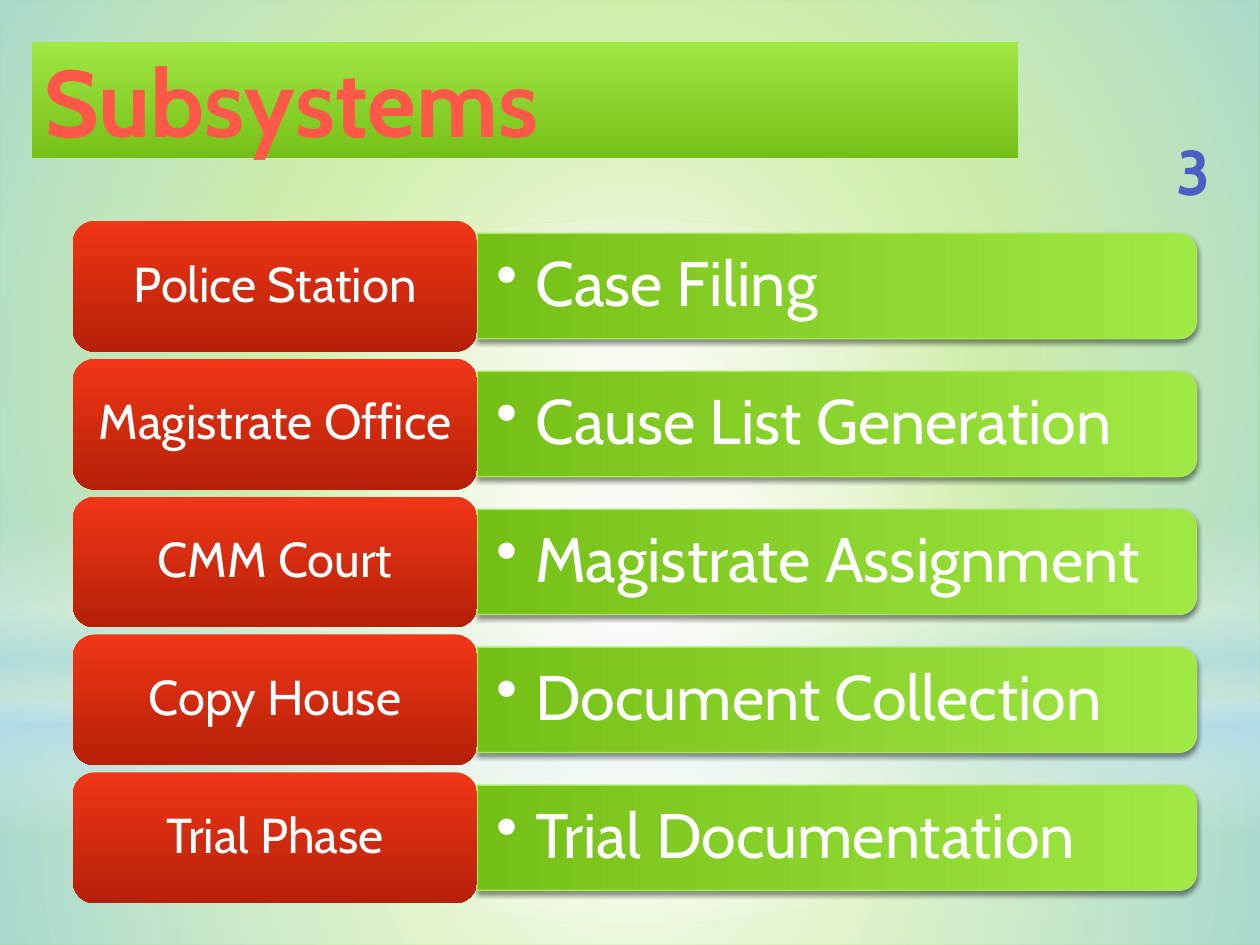
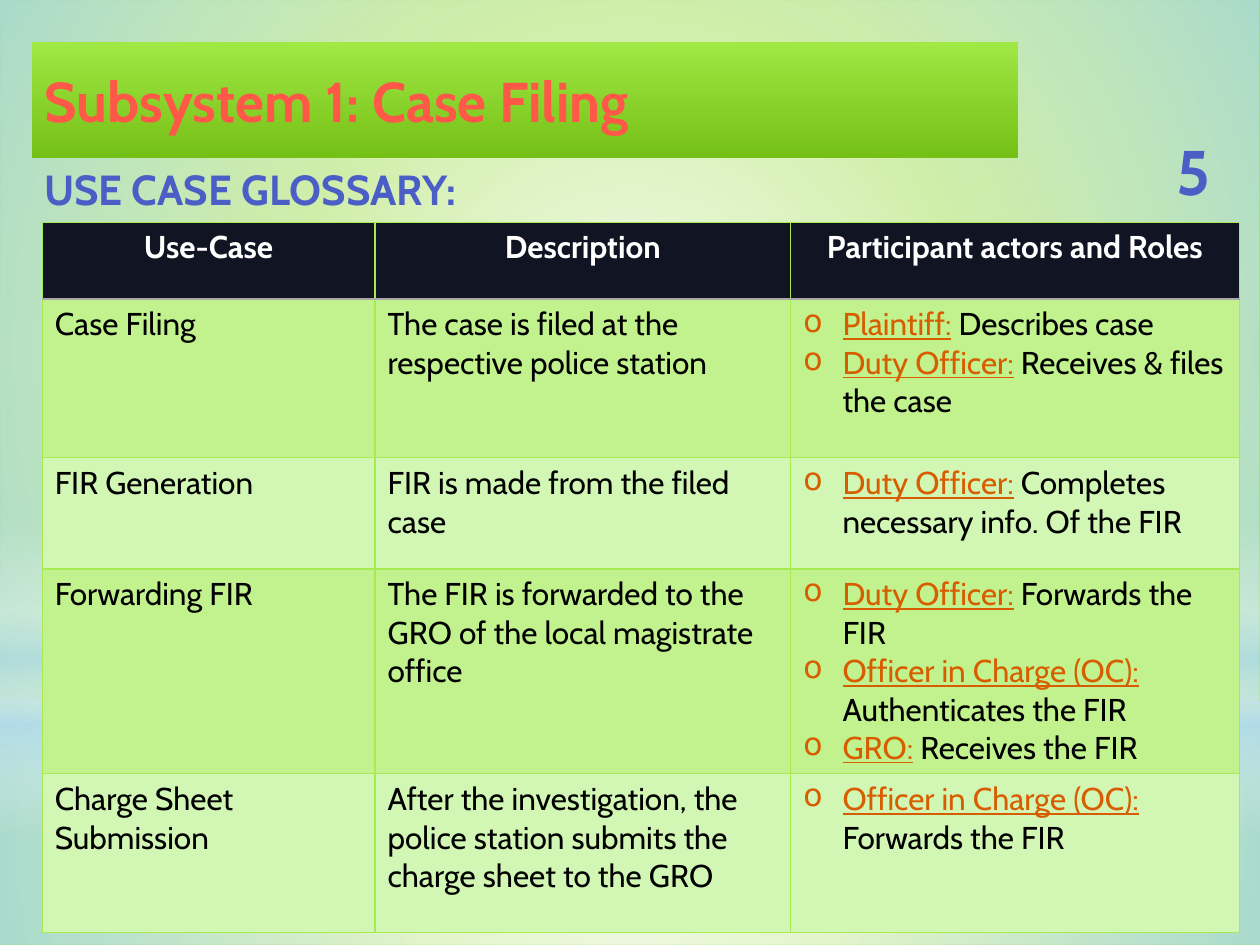
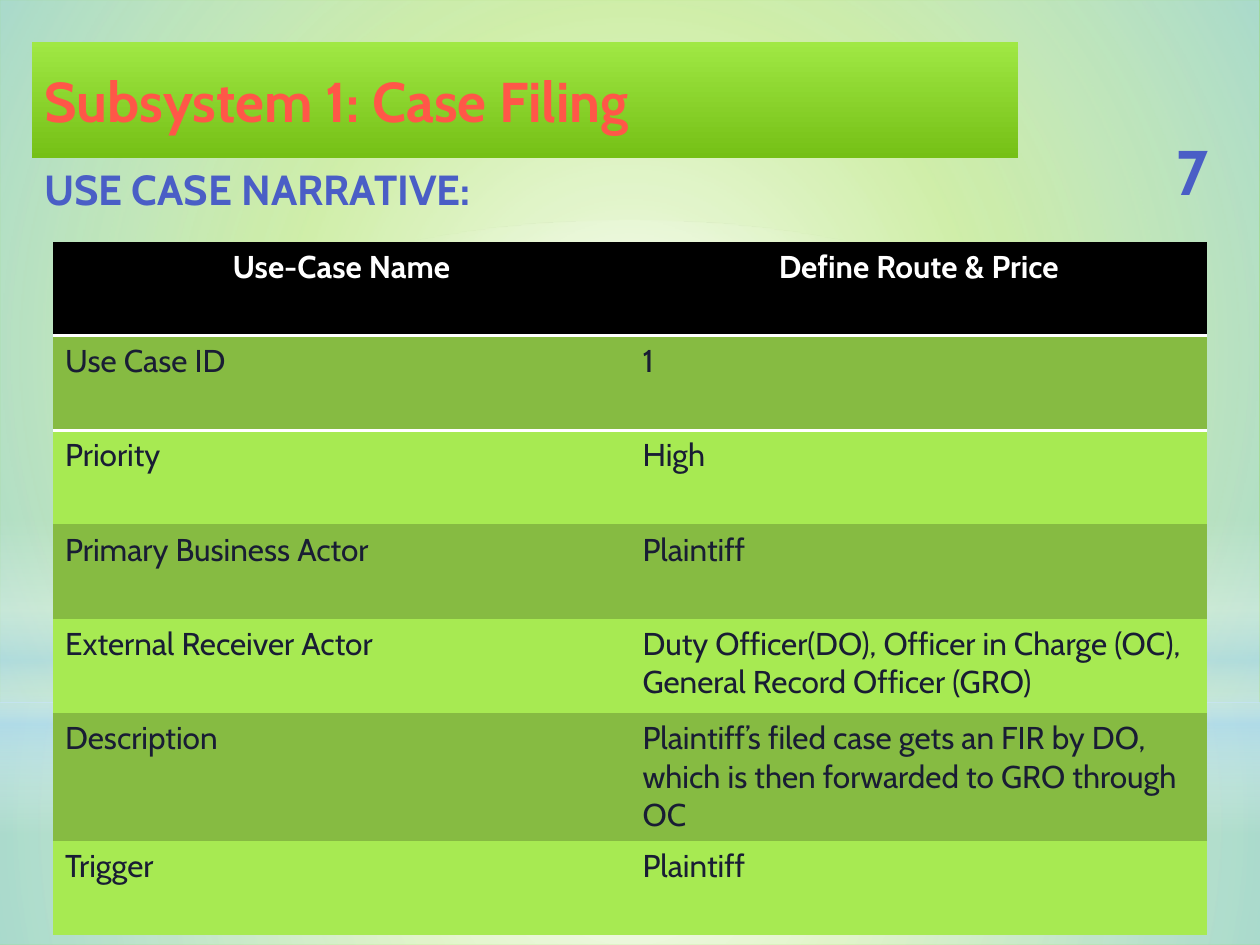
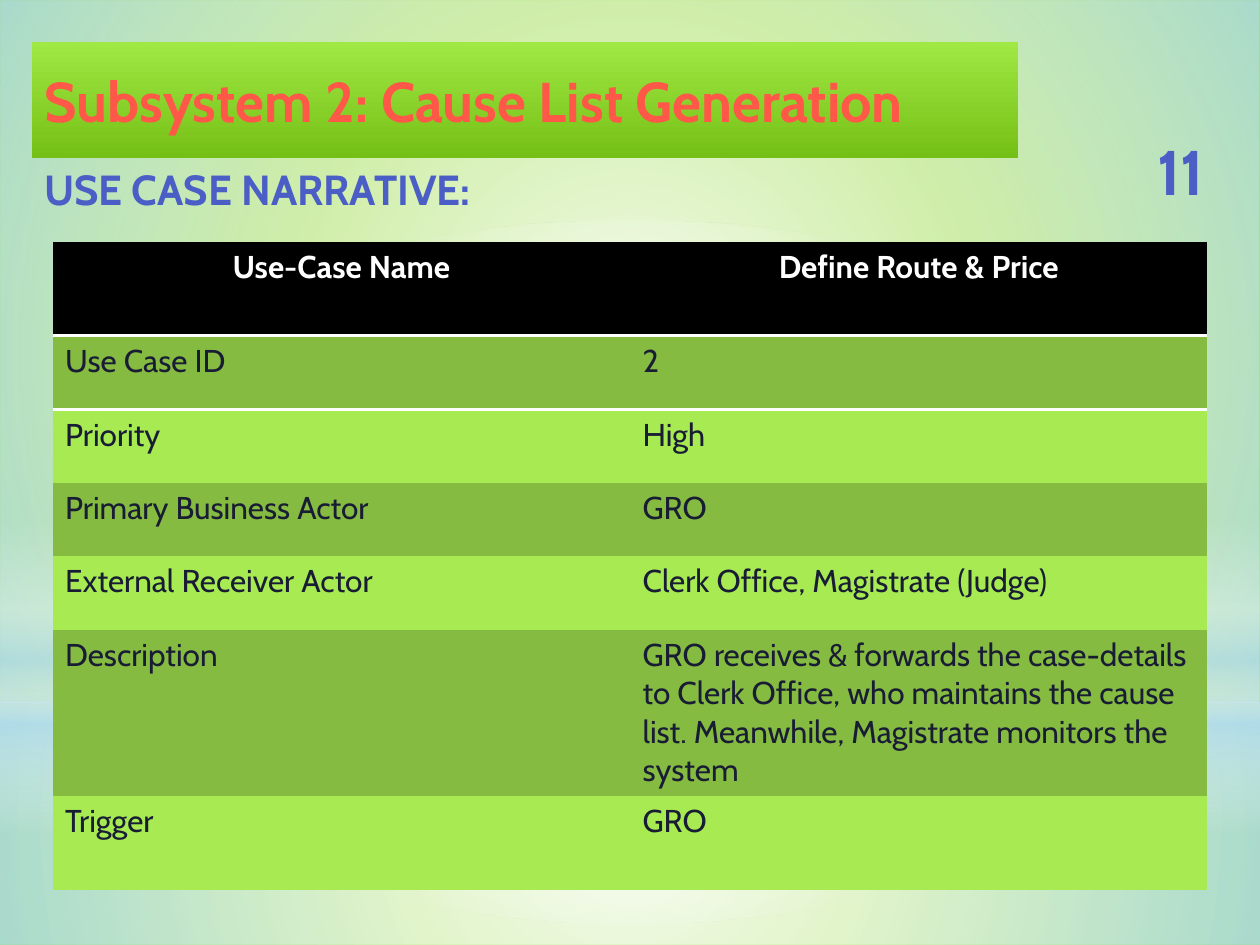
"""Build four slides on the subsystems of a court case system."""
import lxml.etree
import pptx
import pptx.dml.color
import pptx.enum.shapes
import pptx.enum.text
import pptx.oxml.ns
import pptx.util

Cm = pptx.util.Cm
Pt = pptx.util.Pt
qn = pptx.oxml.ns.qn
SHAPE = pptx.enum.shapes.MSO_SHAPE
ALIGN = pptx.enum.text.PP_ALIGN
ANCHOR = pptx.enum.text.MSO_ANCHOR

FONT = "Cabin"
WHITE, BLACK, LIME, SKY = "FFFFFF", "000000", "A7EA52", "B4DCFA"
BACKGROUND, ACTOR, INK = "81D31A", "D85C00", "191D34"
GREEN_FADE = [(0, "A0E844"), (100, "75C016")]
RED_FADE = [(0, "F03617"), (100, "B52007")]
TITLE_FADE = [(0, "FF6155"), (25, "FF5748"), (50, "EF3718"), (75, "FF5748"), (100, "FF6155")]
BLUE_FADE = [(0, "717FD2"), (49, "4A5EC6"), (50, "324CB5"), (92, "31479D"), (100, "30469A")]

BACKDROP = [
    (SHAPE.RECTANGLE, (0, 14.17, 25.4, 4.88), True,
     [(0, WHITE, 91), (37, WHITE, 76), (100, SKY, 79)]),
    (SHAPE.RECTANGLE, (0, 0, 25.4, 14.17), True,
     [(0, WHITE, 89), (48, WHITE, 62), (100, SKY, 79)]),
    (SHAPE.RECTANGLE, (0, 10.46, 25.4, 6.35), False,
     [(0, WHITE, 0), (29, WHITE, 30), (45, SKY, 40), (55, WHITE, 26), (65, SKY, 60), (100, WHITE, 0)]),
    (SHAPE.OVAL, (0, 4.45, 25.4, 14.17), True, [(0, WHITE, 100), (56, WHITE, 0)]),
]

SUBSYSTEMS = [
    ("Police Station", "Case Filing"),
    ("Magistrate Office", "Cause List Generation"),
    ("CMM Court", "Magistrate Assignment"),
    ("Copy House", "Document Collection"),
    ("Trial Phase", "Trial Documentation"),
]

GLOSSARY = [
    ("Use-Case", "Description", "Participant actors and Roles"),
    ("Case Filing", "The case is filed at the respective police station",
     [("Plaintiff:", "Describes case"), ("Duty Officer:", "Receives & files the case")]),
    ("FIR Generation", "FIR is made from the filed case",
     [("Duty Officer:", "Completes necessary info. Of the FIR")]),
    ("Forwarding FIR", "The FIR is forwarded to the GRO of the local magistrate office",
     [("Duty Officer:", "Forwards the FIR"),
      ("Officer in Charge (OC):", "Authenticates the FIR"),
      ("GRO:", "Receives the FIR")]),
    ("Charge Sheet Submission",
     "After the investigation, the police station submits the charge sheet to the GRO",
     [("Officer in Charge (OC):", "Forwards the FIR")]),
]

NARRATIVE_FIELDS = ["Use-Case Name", "Use Case ID", "Priority", "Primary Business Actor",
                    "External Receiver Actor", "Description", "Trigger"]
FILING = ["Define Route & Price", "1", "High", "Plaintiff",
          "Duty Officer(DO), Officer in Charge (OC), General Record Officer (GRO)",
          "Plaintiff’s filed case gets an FIR by DO, which is then forwarded to GRO through OC",
          "Plaintiff"]
CAUSE_LIST = ["Define Route & Price", "2", "High", "GRO", "Clerk Office, Magistrate (Judge)",
              "GRO receives & forwards the case-details to Clerk Office, who maintains "
              "the cause list. Meanwhile, Magistrate monitors the system",
              "GRO"]

GLOSSARY_STYLE = {"header": "111422", "bands": ("C2F28D", "D2F7B4"), "ink": BLACK,
                  "grid": (LIME, 0.75), "rule": ("A9A9A9", 1.25)}
NARRATIVE_STYLE = {"header": BLACK, "bands": ("86BB42", LIME), "ink": INK,
                   "grid": None, "rule": (WHITE, 2)}
NO_TABLE_STYLE = "{2D5ABB26-0587-4C30-8999-92F81FD0307C}"


def color(value):
    return pptx.dml.color.RGBColor.from_string(value)


def add_xml(parent, tag, **attributes):
    node = lxml.etree.SubElement(parent, qn(tag))
    for name, value in attributes.items():
        node.set(name, str(value))
    return node


def fade(fill, holder, stops, circular=False):
    """Fill with a gradient, straight down or from the centre."""
    fill.gradient()
    gradient = holder.find(qn("a:gradFill"))
    gradient.clear()
    gradient.set("rotWithShape", "1")
    stop_list = add_xml(gradient, "a:gsLst")
    for position, value, *alpha in stops:
        stop = add_xml(stop_list, "a:gs", pos=position * 1000)
        tint = add_xml(stop, "a:srgbClr", val=value)
        if alpha:
            add_xml(tint, "a:alpha", val=alpha[0] * 1000)
    if circular:
        way = add_xml(gradient, "a:path", path="circle")
        add_xml(way, "a:fillToRect", l=50000, t=50000, r=50000, b=50000)
    else:
        add_xml(gradient, "a:lin", ang=5400000, scaled=0)


def style_run(span, size, ink, bold=False):
    span.font.name, span.font.size, span.font.bold = FONT, Pt(size), bold
    if isinstance(ink, str):
        span.font.fill.solid()
        span.font.fill.fore_color.rgb = color(ink)
    else:
        fade(span.font.fill, span._r.get_or_add_rPr(), ink)


def write(shape, text, size, ink, bold=False, align=ALIGN.LEFT, anchor=ANCHOR.MIDDLE):
    frame = shape.text_frame
    frame.text = text
    frame.word_wrap = True
    frame.auto_size = pptx.enum.text.MSO_AUTO_SIZE.NONE
    frame.vertical_anchor = anchor
    para = frame.paragraphs[0]
    para.alignment = align
    style_run(para.runs[0], size, ink, bold)
    return para


def add_bullet(para, mark):
    properties = para._p.get_or_add_pPr()
    properties.set("marL", str(Cm(0.79)))
    properties.set("indent", str(-Cm(0.79)))
    add_xml(properties, "a:buChar", char=mark)


def add_text(page, place, *args, **options):
    box = page.shapes.add_textbox(*map(Cm, place))
    return box, write(box, *args, **options)


def add_faded(page, kind, place, stops, circular=False):
    shape = page.shapes.add_shape(kind, *map(Cm, place))
    shape.shadow.inherit = False
    shape.line.fill.background()
    fade(shape.fill, shape.element.spPr, stops, circular)
    return shape


def paint_backdrop(page, layout):
    """Draw the shared backdrop and move it into the layout."""
    layout.background.fill.solid()
    layout.background.fill.fore_color.rgb = color(BACKGROUND)
    for index, (kind, place, circular, stops) in enumerate(BACKDROP):
        shape = add_faded(page, kind, place, stops, circular)
        shape.element.xpath(".//p:cNvPr")[0].set("id", str(100 + index))
        layout.shapes.element.insert(2 + index, shape.element)


def add_page(deck, layout, title, number, title_size=32):
    page = deck.slides.add_slide(layout)
    band = page.shapes.title
    band.left, band.top, band.width, band.height = map(Cm, (0.64, 0.84, 19.89, 2.34))
    outline = add_xml(band.element.spPr, "a:prstGeom", prst="roundRect")
    add_xml(outline, "a:avLst")
    fade(band.fill, band.element.spPr, GREEN_FADE)
    write(band, title, title_size, TITLE_FADE, bold=True)
    width = 1.48 + 0.5 * len(number)
    add_text(page, (25.04 - width, 2.74, width, 1.37), number, 36, BLUE_FADE,
             bold=True, align=ALIGN.CENTER)
    return page


def add_heading(page, text, width):
    add_text(page, (0.64, 3.18, width, 1.27), text, 24, BLUE_FADE, bold=True, anchor=ANCHOR.TOP)


def add_bar_shadow(bar):
    effects = bar.element.spPr.find(qn("a:effectLst"))
    shadow = add_xml(effects, "a:outerShdw", blurRad=Pt(3.1), dist=Pt(1.8), dir=5400000, rotWithShape=0)
    add_xml(add_xml(shadow, "a:srgbClr", val=BLACK), "a:alpha", val=45000)


def add_subsystems(page):
    pitch, first_middle = 2.78, 5.77
    label_left, label_width, label_height = 1.47, 8.15, 2.64
    bar_length, bar_depth, text_height = 14.5, 2.12, 1.9
    bar_left = label_left + label_width
    for index, (office, task) in enumerate(SUBSYSTEMS):
        middle = first_middle + index * pitch
        bar = add_faded(page, SHAPE.ROUND_2_SAME_RECTANGLE,
                        (bar_left + (bar_length - bar_depth) / 2, middle - bar_length / 2,
                         bar_depth, bar_length), GREEN_FADE)
        bar.rotation = 90
        bar.line.color.rgb = color(LIME)
        bar.line.width = Pt(0.75)
        add_bar_shadow(bar)
        box, para = add_text(page, (bar_left, middle - text_height / 2, 14.4, text_height),
                             task, 36, WHITE)
        box.text_frame.margin_left = box.text_frame.margin_right = Cm(0.38)
        para.line_spacing = 0.9
        add_bullet(para, "•")
        label = add_faded(page, SHAPE.ROUNDED_RECTANGLE,
                          (label_left, middle - label_height / 2, label_width, label_height), RED_FADE)
        para = write(label, office, 28, WHITE, align=ALIGN.CENTER)
        para.line_spacing = 0.9
        label.text_frame.margin_left = label.text_frame.margin_right = Cm(0.3)


def set_borders(cell, edges):
    properties = cell._tc.get_or_add_tcPr()
    sides = [side for side in "LRTB" if edges.get(side)]
    for index, side in enumerate(sides):
        value, width = edges[side]
        line = add_xml(properties, "a:ln" + side, w=Pt(width))
        add_xml(add_xml(line, "a:solidFill"), "a:srgbClr", val=value)
        properties.insert(index, line)


def fill_cell(cell, content, ink, header):
    frame = cell.text_frame
    if isinstance(content, str):
        frame.text = content
        para = frame.paragraphs[0]
        para.alignment = ALIGN.CENTER if header else ALIGN.LEFT
        style_run(para.runs[0], 18, ink, bold=header)
        return
    for index, (actor, role) in enumerate(content):
        para = frame.add_paragraph() if index else frame.paragraphs[0]
        add_bullet(para, "o")
        for text, tint in ((actor, ACTOR), (" " + role, ink)):
            span = para.add_run()
            span.text = text
            style_run(span, 18, tint)
            span.font.underline = tint == ACTOR


def add_grid(page, left, top, widths, heights, rows, style):
    frame = page.shapes.add_table(len(rows), len(widths), Cm(left), Cm(top),
                                  Cm(sum(widths)), Cm(sum(heights)))
    frame.element.xpath(".//a:tableStyleId")[0].text = NO_TABLE_STYLE
    table = frame.table
    for column, width in zip(table.columns, widths):
        column.width = Cm(width)
    for index, (row, height) in enumerate(zip(rows, heights)):
        table.rows[index].height = Cm(height)
        header = index == 0
        edges = dict.fromkeys("LRTB", style["grid"])
        if index < 2:
            edges["B" if header else "T"] = style["rule"]
        for cell, content in zip(table.rows[index].cells, row):
            cell.fill.solid()
            cell.fill.fore_color.rgb = color(style["header"] if header else style["bands"][(index - 1) % 2])
            set_borders(cell, edges)
            fill_cell(cell, content, WHITE if header else style["ink"], header)


def add_narrative(page, values, heights):
    add_heading(page, "USE CASE NARRATIVE:", 16.08)
    add_grid(page, 1.06, 4.87, [11.64] * 2, heights,
             list(zip(NARRATIVE_FIELDS, values)), NARRATIVE_STYLE)


def main():
    deck = pptx.Presentation()
    deck.slide_width, deck.slide_height = Cm(25.4), Cm(19.05)
    layout = deck.slide_layouts[5]

    page = add_page(deck, layout, "Subsystems", "3", title_size=54)
    paint_backdrop(page, layout)
    add_subsystems(page)

    page = add_page(deck, layout, "Subsystem 1: Case Filing", "5")
    add_heading(page, "USE CASE GLOSSARY:", 9.04)
    add_grid(page, 0.85, 4.48, [6.71, 8.38, 9.04], [1.55, 3.2, 2.24, 3.91, 3.2],
             GLOSSARY, GLOSSARY_STYLE)

    page = add_page(deck, layout, "Subsystem 1: Case Filing", "7")
    add_narrative(page, FILING, [1.9] * 7)

    page = add_page(deck, layout, "Subsystem 2: Cause List Generation", "11")
    add_narrative(page, CAUSE_LIST, [1.9] + [1.48] * 4 + [1.9] * 2)

    deck.save("out.pptx")


if __name__ == "__main__":
    main()
